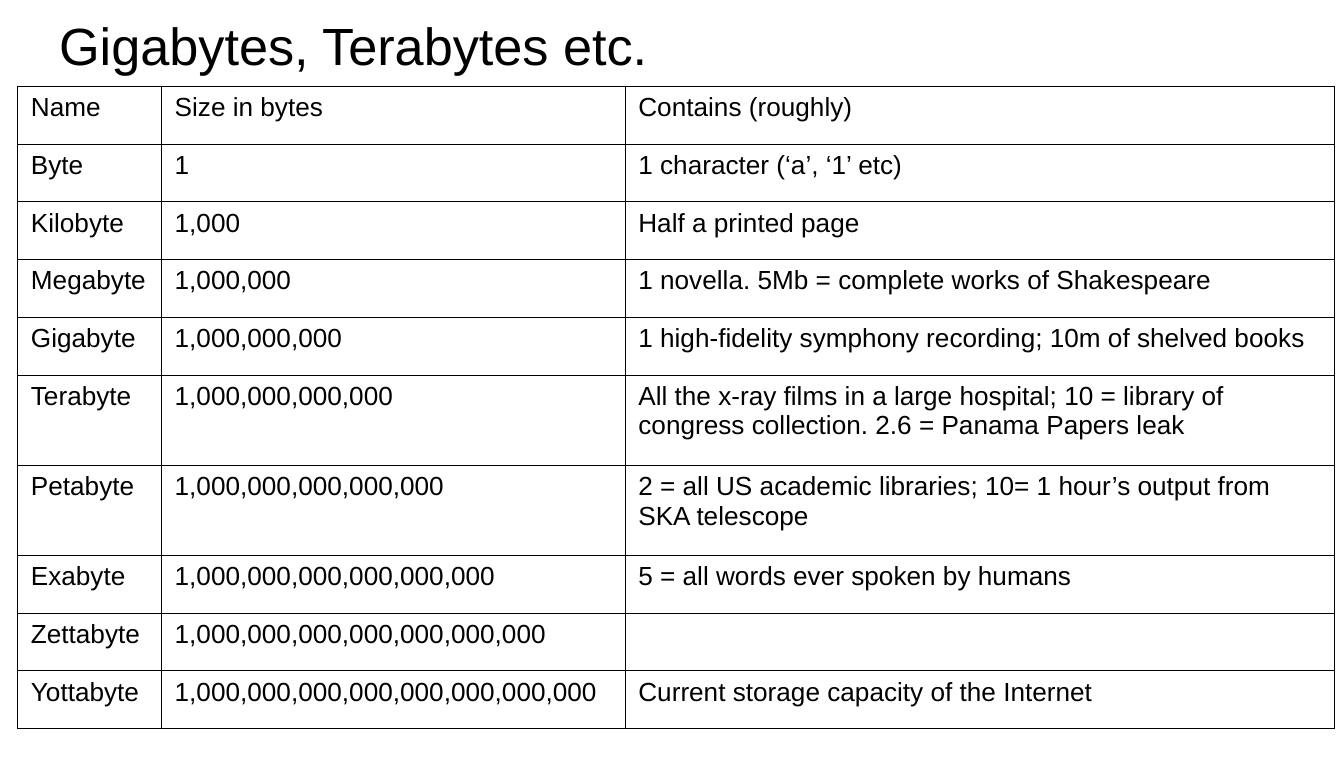
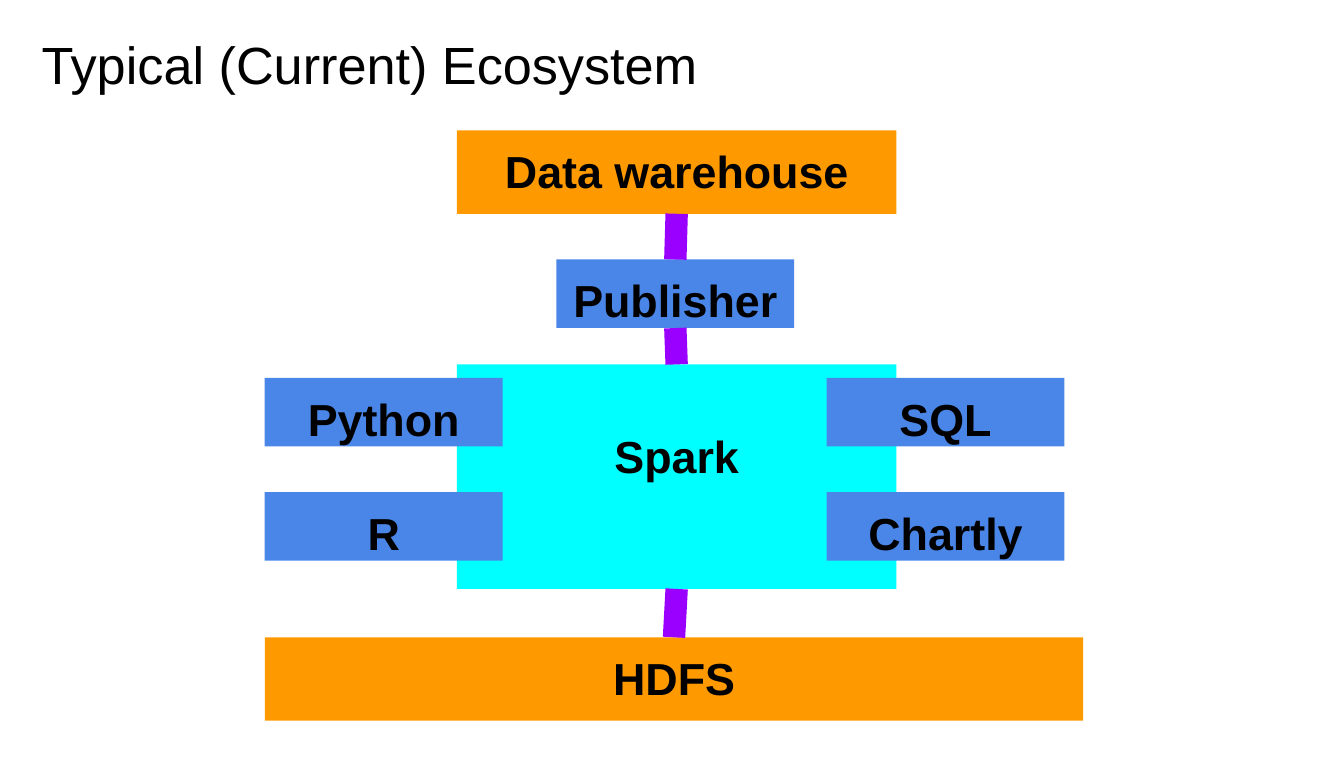
from typing import NamedTuple

from lxml import etree
from pptx import Presentation
from pptx.dml.color import RGBColor
from pptx.enum.shapes import MSO_CONNECTOR, MSO_SHAPE
from pptx.enum.text import MSO_ANCHOR, MSO_AUTO_SIZE, PP_ALIGN
from pptx.oxml.ns import qn
from pptx.util import Inches, Pt

BLACK = RGBColor(0x00, 0x00, 0x00)
WHITE = RGBColor(0xFF, 0xFF, 0xFF)
ORANGE = RGBColor(0xFF, 0x99, 0x00)
CYAN = RGBColor(0x00, 0xFF, 0xFF)
BLUE = RGBColor(0x4A, 0x86, 0xE8)
PURPLE = RGBColor(0x99, 0x00, 0xFF)

FONT = "Arial"
INSET = 0.1
TITLE_ONLY = 5
RECTANGLE = MSO_SHAPE.RECTANGLE
STRAIGHT = MSO_CONNECTOR.STRAIGHT
TOP_ANCHOR = MSO_ANCHOR.TOP
NO_AUTO_SIZE = MSO_AUTO_SIZE.NONE
LEFT, CENTER = PP_ALIGN.LEFT, PP_ALIGN.CENTER
TOP_SITE, BOTTOM_SITE = 0, 2


class Unit(NamedTuple):
    name: str
    contains: str
    height: float = 0.43


class Block(NamedTuple):
    label: str
    left: float
    top: float
    width: float
    height: float
    color: RGBColor
    top_inset: float = INSET


UNITS = [
    Unit("Byte", "1 character (‘a’, ‘1’ etc)"),
    Unit("Kilobyte", "Half a printed page"),
    Unit("Megabyte", "1 novella. 5Mb = complete works of Shakespeare"),
    Unit("Gigabyte", "1 high-fidelity symphony recording; 10m of shelved books"),
    Unit("Terabyte", "All the x-ray films in a large hospital; 10 = library of "
         "congress collection. 2.6 = Panama Papers leak", 0.67),
    Unit("Petabyte", "2 = all US academic libraries; 10= 1 hour’s output from "
         "SKA telescope", 0.67),
    Unit("Exabyte", "5 = all words ever spoken by humans"),
    Unit("Zettabyte", ""),
    Unit("Yottabyte", "Current storage capacity of the Internet"),
]
HEADINGS = ("Name", "Size in bytes", "Contains (roughly)")
HEADING_HEIGHT = 0.43
COLUMN_WIDTHS = (1.07, 3.45, 5.28)


def tool(label: str, left: float, top: float) -> Block:
    return Block(label, left, top, 1.77, 0.51, BLUE)


BLOCKS = [
    Block("HDFS", 1.97, 4.74, 6.09, 0.62, ORANGE),
    Block("Spark", 3.4, 2.71, 3.27, 1.67, CYAN, top_inset=0.48),
    tool("Python", 1.97, 2.81),
    tool("R", 1.97, 3.66),
    tool("SQL", 6.15, 2.81),
    tool("Chartly", 6.15, 3.66),
    tool("Publisher", 4.14, 1.93),
    Block("Data warehouse", 3.4, 0.97, 3.27, 0.62, ORANGE),
]
LINKS = [("Spark", "HDFS"), ("Publisher", "Spark"), ("Data warehouse", "Publisher")]


def write(frame, text: str, size: float, align=LEFT, bold: bool = False) -> None:
    frame.text = text
    frame.word_wrap = True
    para = frame.paragraphs[0]
    para.alignment = align
    for span in para.runs:
        span.font.name = FONT
        span.font.size = Pt(size)
        span.font.bold = bold
        span.font.color.rgb = BLACK


def set_insets(frame, top: float = INSET) -> None:
    frame.margin_left = frame.margin_right = frame.margin_bottom = Inches(INSET)
    frame.margin_top = Inches(top)
    frame.vertical_anchor = TOP_ANCHOR
    frame.auto_size = NO_AUTO_SIZE


def add_page(deck, title: str, left: float, top: float):
    page = deck.slides.add_slide(deck.slide_layouts[TITLE_ONLY])
    page.background.fill.solid()
    page.background.fill.fore_color.rgb = WHITE
    box = page.shapes.title
    box.left, box.top = Inches(left), Inches(top)
    box.width, box.height = Inches(9.32), Inches(0.63)
    write(box.text_frame, title, 28)
    set_insets(box.text_frame)
    return page


def add_borders(cell) -> None:
    properties = cell._tc.get_or_add_tcPr()
    for position, side in enumerate(("lnL", "lnR", "lnT", "lnB")):
        line = etree.Element(qn(f"a:{side}"), w=str(Pt(0.45)))
        fill = etree.SubElement(line, qn("a:solidFill"))
        etree.SubElement(fill, qn("a:srgbClr"), val=str(BLACK))
        properties.insert(position, line)


def add_unit_table(page) -> None:
    rows = [HEADINGS] + [
        (unit.name, f"{1000 ** power:,}", unit.contains)
        for power, unit in enumerate(UNITS)
    ]
    heights = [HEADING_HEIGHT] + [unit.height for unit in UNITS]
    table = page.shapes.add_table(
        len(rows), len(HEADINGS), Inches(0.13), Inches(0.64),
        Inches(sum(COLUMN_WIDTHS)), Inches(sum(heights))).table
    table.first_row = table.horz_banding = False
    for column, width in zip(table.columns, COLUMN_WIDTHS):
        column.width = Inches(width)
    for row, height, texts in zip(table.rows, heights, rows):
        row.height = Inches(height)
        for cell, text in zip(row.cells, texts):
            write(cell.text_frame, text, 14)
            cell.fill.background()
            add_borders(cell)


def add_block(page, block: Block):
    box = page.shapes.add_shape(
        RECTANGLE, Inches(block.left), Inches(block.top),
        Inches(block.width), Inches(block.height))
    box.shadow.inherit = False
    box.fill.solid()
    box.fill.fore_color.rgb = block.color
    box.line.fill.background()
    write(box.text_frame, block.label, 24, CENTER, bold=True)
    set_insets(box.text_frame, block.top_inset)
    return box


def add_link(page, upper, lower) -> None:
    link = page.shapes.add_connector(STRAIGHT, 0, 0, 0, 0)
    link.begin_connect(upper, BOTTOM_SITE)
    link.end_connect(lower, TOP_SITE)
    link.line.color.rgb = PURPLE
    link.line.width = Pt(12)
    etree.SubElement(link._element.spPr, qn("a:effectLst"))


def main() -> None:
    deck = Presentation()
    deck.slide_width, deck.slide_height = Inches(10), Inches(5.63)

    add_unit_table(add_page(deck, "Gigabytes, Terabytes etc.", 0.34, 0))

    ecosystem = add_page(deck, "Typical (Current) Ecosystem", 0.21, 0.14)
    boxes = {block.label: add_block(ecosystem, block) for block in BLOCKS}
    for upper, lower in LINKS:
        add_link(ecosystem, boxes[upper], boxes[lower])

    deck.save("out.pptx")


if __name__ == "__main__":
    main()
